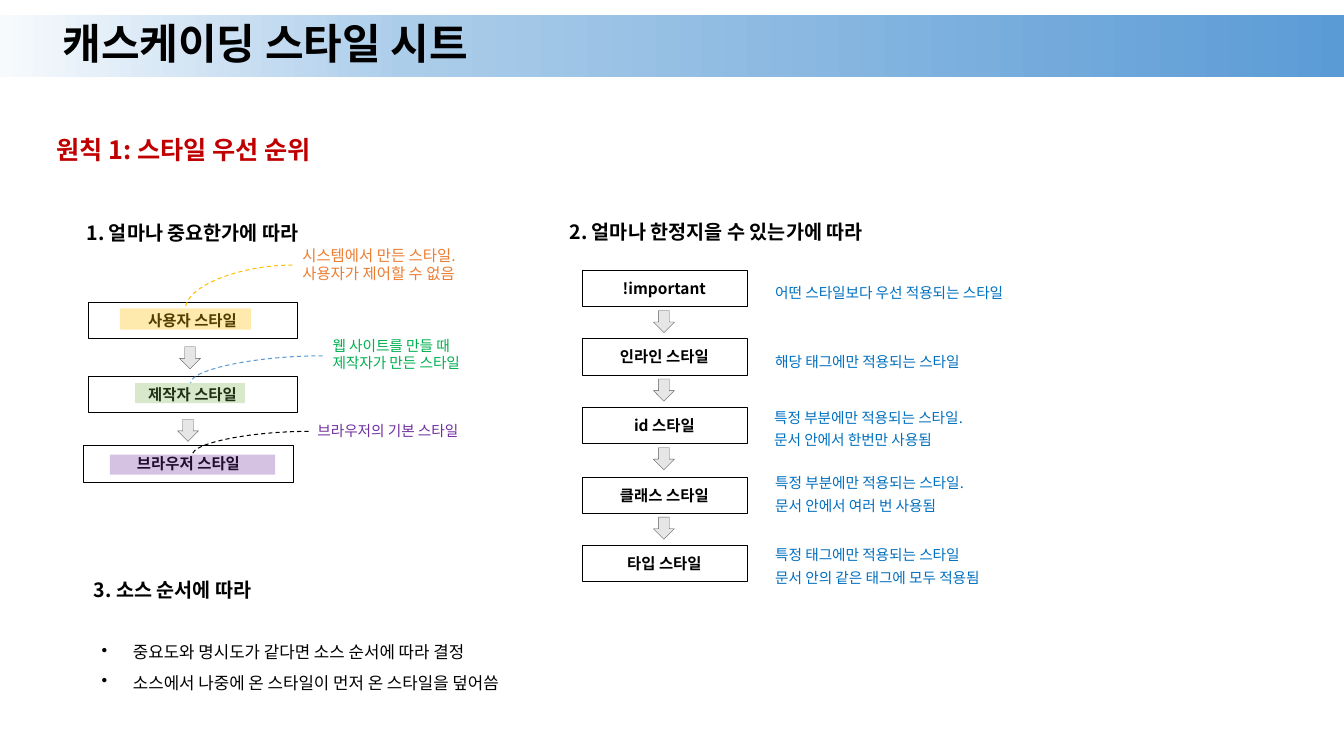
from copy import deepcopy

from pptx import Presentation
from pptx.dml.color import RGBColor
from pptx.enum.dml import MSO_LINE
from pptx.enum.shapes import MSO_CONNECTOR, MSO_SHAPE
from pptx.enum.text import MSO_ANCHOR, MSO_AUTO_SIZE, PP_ALIGN
from pptx.oxml.ns import qn
from pptx.oxml.xmlchemy import OxmlElement
from pptx.util import Pt

PX = 9144  # EMU in one px, 100 px to the inch
KOREAN = "Noto Sans CJK KR"
COLORS = {
    "black": "000000", "red": "C00000", "orange": "ED7D31",
    "gold": "FFC000", "green": "00B050", "leaf": "70AD47",
    "purple": "7030A0", "blue": "0070C0", "sky": "5B9BD5",
    "light sky": "ACCDEA", "pale sky": "F7FAFD",
    "gray": "E7E6E6", "dark gray": "595959",
}

# name, left, top
ORIGIN_STYLES = [
    ("사용자 스타일", 87, 300),
    ("제작자 스타일", 87, 373),
    ("브라우저 스타일", 83, 442),
]
# text, text place, text size, text color, highlight place, highlight color,
# opacity in percent, curve place, curve color
ORIGIN_NOTES = [
    ("시스템에서 만든 스타일. 사용자가 제어할 수 없음", (290, 239, 195, 47), 11, "orange",
     (119, 306, 130, 21), "gold", 32, (184, 263, 106, 43), "gold"),
    ("웹 사이트를 만들 때 제작자가 만든 스타일", (320, 329, 164, 47), 10.5, "green",
     (134, 380, 109, 20), "leaf", 28, (189, 353, 131, 27), "sky"),
    ("브라우저의 기본 스타일", (305, 414, 195, 29), 10.5, "purple",
     (109, 451, 164, 20), "purple", 29, (191, 428, 115, 23), "black"),
]
# name, description paragraphs, description left, top, height, line spacing
SCOPE_STYLES = [
    ("!important", ["어떤 스타일보다 우선 적용되는 스타일"], 759, 268, 34, 1.5),
    ("인라인 스타일", ["해당 태그에만 적용되는 스타일"], 759, 336, 34, 1.5),
    ("id 스타일", ["특정 부분에만 적용되는 스타일. \v문서 안에서 한번만 사용됨"],
     758, 395, 54, 1.3),
    ("클래스 스타일", ["특정 부분에만 적용되는 스타일. \v문서 안에서 여러 번 사용됨"],
     759, 460, 54, 1.3),
    ("타입 스타일", ["특정 태그에만 적용되는 스타일", "문서 안의 같은 태그에 모두 적용됨"],
     759, 531, 54, 1.3),
]
SCOPE_TOP, SCOPE_STEP = 268, 68.25


def emu(*lengths):
    return [length * PX for length in lengths]


def rgb(name):
    return RGBColor.from_string(COLORS[name])


def style_para(para, size, color="black", bold=False, font=KOREAN, spacing=None):
    para.font.size = Pt(size)
    para.font.bold = bold
    para.font.color.rgb = rgb(color)
    para.font.name = font
    east_asian = OxmlElement("a:ea")
    east_asian.set("typeface", KOREAN)
    para.font._element.find(qn("a:latin")).addnext(east_asian)
    if spacing:
        para.line_spacing = spacing


def add_text(page, place, lines, size, **look):
    box = page.shapes.add_textbox(*emu(*place))
    frame = box.text_frame
    frame.word_wrap = True
    frame.auto_size = MSO_AUTO_SIZE.SHAPE_TO_FIT_TEXT
    for index, line in enumerate(lines):
        para = frame.add_paragraph() if index else frame.paragraphs[0]
        para.text = line
        style_para(para, size, **look)
    return box


def add_heading(page, left, top, text):
    add_text(page, (left, top, 357, 34), [text], 14, bold=True)


def add_plain_shape(page, kind, place, fill=None, line=None):
    shape = page.shapes.add_shape(kind, *emu(*place))
    shape.shadow.inherit = False
    if fill:
        shape.fill.solid()
        shape.fill.fore_color.rgb = rgb(fill)
    else:
        shape.fill.background()
    if line:
        shape.line.color.rgb = rgb(line)
        shape.line.width = Pt(0.25)
    else:
        shape.line.fill.background()
    return shape


def add_style_box(page, left, top, width, name):
    box = add_plain_shape(page, MSO_SHAPE.RECTANGLE, (left, top, width, 36), line="black")
    frame = box.text_frame
    frame.vertical_anchor = MSO_ANCHOR.MIDDLE
    para = frame.paragraphs[0]
    para.text = name
    para.alignment = PP_ALIGN.CENTER
    style_para(para, 11, bold=True)


def add_down_arrow(page, left, top):
    add_plain_shape(page, MSO_SHAPE.DOWN_ARROW, (left, top, 21, 22), "gray", "dark gray")


def add_highlight(page, place, color, opacity):
    mark = add_plain_shape(page, MSO_SHAPE.RECTANGLE, place, color)
    alpha = OxmlElement("a:alpha")
    alpha.set("val", str(opacity * 1000))
    mark._element.spPr.find(qn("a:solidFill"))[0].append(alpha)


def add_curve(page, place, color):
    left, top, width, height = place
    curve = page.shapes.add_connector(
        MSO_CONNECTOR.CURVE, *emu(left, top, left + width, top + height))
    curve.line.color.rgb = rgb(color)
    curve.line.width = Pt(0.75)
    curve.line.dash_style = MSO_LINE.DASH
    # Quarter bend that runs from the top right to the bottom left
    properties = curve._element.spPr
    properties.find(qn("a:prstGeom")).set("prst", "curvedConnector2")
    frame = properties.find(qn("a:xfrm"))
    frame.set("rot", "10800000")
    frame.set("flipV", "1")
    properties.append(OxmlElement("a:effectLst"))


def add_title_band(page):
    band = add_plain_shape(page, MSO_SHAPE.RECTANGLE, (0, 15, 1333, 61))
    band.fill.gradient()
    band.fill.gradient_angle = 0
    stops = band._element.spPr.find(qn("a:gradFill")).find(qn("a:gsLst"))
    stops.insert(1, deepcopy(stops[0]))
    shades = [("pale sky", 0), ("light sky", 0.3), ("sky", 1)]
    for stop, (color, position) in zip(band.fill.gradient_stops, shades):
        stop.color.rgb = rgb(color)
        stop.position = position
    # Behind the title
    page.shapes._spTree.insert(2, band._element)


def set_title(page, text):
    title = page.shapes.title
    title.left, title.top, title.width, title.height = emu(52, 15, 994, 62)
    title.text_frame.vertical_anchor = MSO_ANCHOR.MIDDLE
    para = title.text_frame.paragraphs[0]
    para.text = text
    para.alignment = PP_ALIGN.LEFT
    style_para(para, 30, bold=True, font="Arial", spacing=0.9)


def add_bullets(page, place, lines):
    box = add_text(page, place, lines, 12, font="Arial", spacing=1.5)
    for para in box.text_frame.paragraphs:
        properties = para._p.get_or_add_pPr()
        properties.set("marL", str(31 * PX))
        properties.set("indent", str(-31 * PX))
        bullet = OxmlElement("a:buChar")
        bullet.set("char", "•")
        properties.find(qn("a:defRPr")).addprevious(bullet)


def main():
    deck = Presentation()
    deck.slide_width, deck.slide_height = emu(1333, 750)
    page = deck.slides.add_slide(deck.slide_layouts[5])

    # Title and principle
    add_title_band(page)
    set_title(page, "캐스케이딩 스타일 시트")
    add_text(page, (46, 128, 548, 40), ["원칙 1: 스타일 우선 순위"], 18, color="red", bold=True)

    # 1. Importance
    add_heading(page, 76, 214, "1. 얼마나 중요한가에 따라")
    for name, left, top in ORIGIN_STYLES:
        add_style_box(page, left, top, 208, name)
    add_down_arrow(page, 178, 344)
    add_down_arrow(page, 176, 416)
    for text, place, size, color, mark, mark_color, opacity, curve, curve_color in ORIGIN_NOTES:
        add_highlight(page, mark, mark_color, opacity)
        add_text(page, place, [text], size, color=color)
        add_curve(page, curve, curve_color)

    # 2. Specificity
    add_heading(page, 555, 213, "2. 얼마나 한정지을 수 있는가에 따라")
    for index, (name, lines, left, top, height, spacing) in enumerate(SCOPE_STYLES):
        box_top = SCOPE_TOP + round(index * SCOPE_STEP)
        add_style_box(page, 577, box_top, 164, name)
        if index < len(SCOPE_STYLES) - 1:
            add_down_arrow(page, 648, box_top + 40)
        add_text(page, (left, top, 295 if index == 0 else 265, height), lines, 10.5,
                 color="blue", spacing=spacing)

    # 3. Source order
    add_heading(page, 83, 568, "3. 소스 순서에 따라")
    add_bullets(page, (91, 622, 568, 67), [
        "중요도와 명시도가 같다면 소스 순서에 따라 결정",
        "소스에서 나중에 온 스타일이 먼저 온 스타일을 덮어씀",
    ])

    deck.save("out.pptx")


if __name__ == "__main__":
    main()
